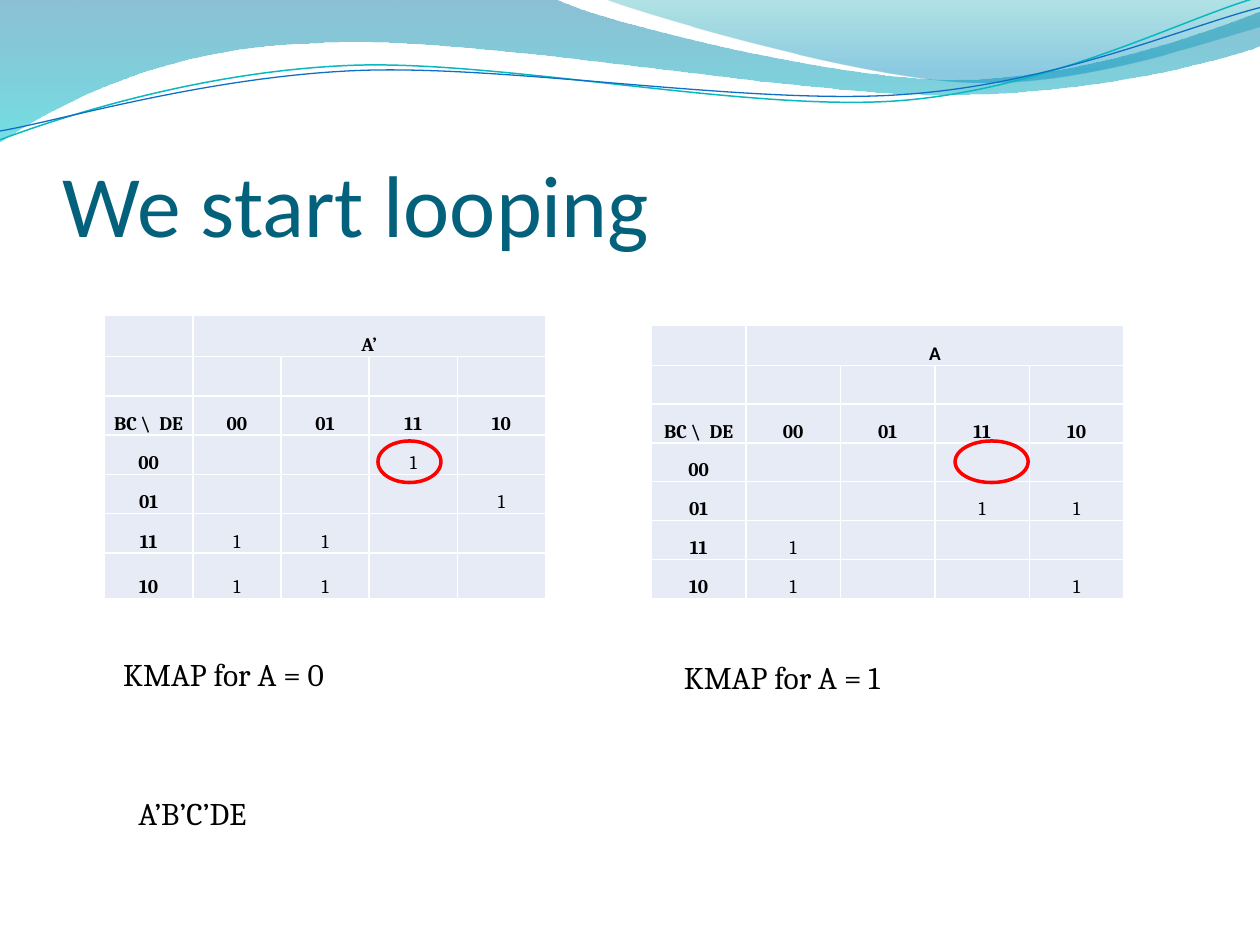
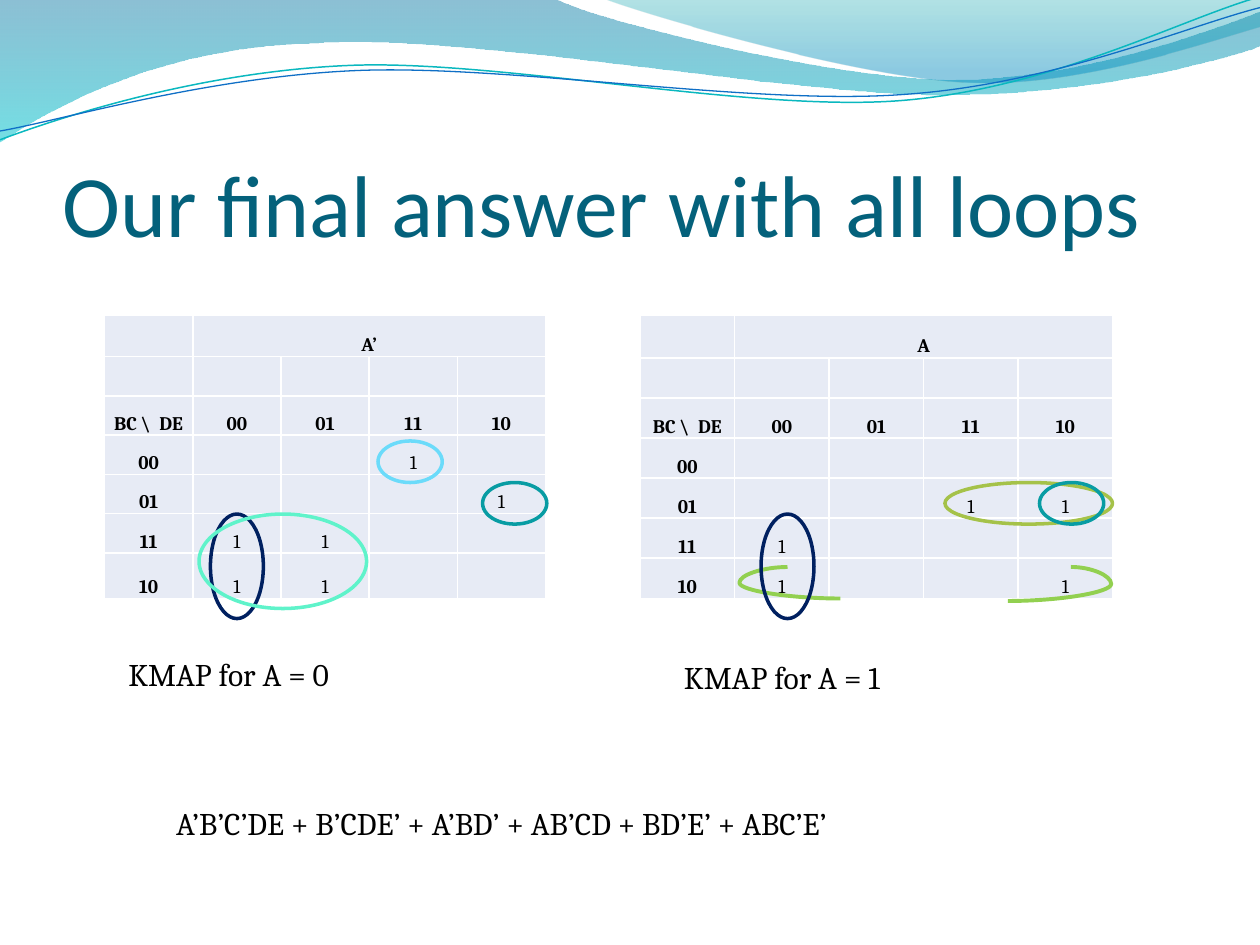
from math import cos, radians, sin

from lxml.etree import SubElement
from pptx import Presentation
from pptx.dml.color import RGBColor
from pptx.enum.shapes import MSO_CONNECTOR, MSO_SHAPE
from pptx.enum.text import MSO_ANCHOR, PP_ALIGN
from pptx.oxml.ns import qn
from pptx.util import Inches, Pt

TITLE_TEAL = RGBColor(0x04, 0x61, 0x7B)
BLACK = RGBColor(0, 0, 0)
CELL = RGBColor(0xE7, 0xEB, 0xF5)
RED = RGBColor(0xFF, 0, 0)
NAVY = RGBColor(0x00, 0x20, 0x60)
OLIVE = RGBColor(0xA5, 0xC2, 0x49)
MINT = RGBColor(0x5F, 0xF3, 0xCA)
TEAL = RGBColor(0x08, 0x9C, 0xA3)
SKY = RGBColor(0x6B, 0xDB, 0xFA)
GREEN = RGBColor(0x92, 0xD0, 0x50)
WAVE_CYAN = RGBColor(0x0A, 0xB8, 0xBF)
WAVE_BLUE = RGBColor(0x0F, 0x6F, 0xC6)

WAVE_TILT = -2.7
WAVE_BANDS = [
    ((-0.01, -0.01, 10.02, 1.14),
     [(0, 0), (4.4, -0.01), (4.76, 0.17, 6.64, 0.63, 7.58, 0.63),
      (8.53, 0.63, 9.58, 0.26, 10, 0.09), (10.01, 0.36),
      (9.83, 0.44, 8.7, 0.76, 7.46, 0.75), (6.22, 0.75, 3.82, 0.28, 2.57, 0.34),
      (1.29, 0.36, 0.46, 0.83, -0.01, 1.13), (0, 0)],
     [(0, RGBColor(0x00, 0x74, 0xA1), 45), (1, RGBColor(0x00, 0xC6, 0xCF), 55)]),
    ((4.79, -0.01, 5.21, 0.7),
     [(4.79, -0.01), (5.09, 0.11, 6.82, 0.62, 7.69, 0.65),
      (8.56, 0.69, 9.61, 0.32, 10, 0.21), (10, 0), (4.79, -0.01)],
     [(0, RGBColor(0x00, 0xA1, 0xA9), 30), (0.8, RGBColor(0x00, 0x8B, 0xBF), 45)]),
]
WAVE_LINES = [
    ((-0.02, 0.22, 10.02, 0.71),
     [(0, 1.11), (0.48, 0.93, 1.58, 0.57, 2.77, 0.52), (3.95, 0.47, 5.93, 0.89, 7.13, 0.8),
      (8.33, 0.71, 9.38, 0.15, 9.98, -0.02)], WAVE_CYAN, 0.85),
    ((-0.02, 0.3, 10.03, 0.58),
     [(0, 1.04), (0.47, 0.96, 1.64, 0.61, 2.83, 0.56), (4.03, 0.51, 5.97, 0.84, 7.17, 0.75),
      (8.36, 0.67, 9.41, 0.21, 10, 0.06)], WAVE_BLUE, 0.75),
]

GRAY_CODES = ["00", "01", "11", "10"]
ONES_WITHOUT_A = {("00", "11"), ("01", "10"), ("11", "00"), ("11", "01"),
                  ("10", "00"), ("10", "01")}
ONES_WITH_A = {("01", "11"), ("01", "10"), ("11", "00"), ("10", "00"), ("10", "10")}

LEFT_MAP = dict(heading="A’", ones=ONES_WITHOUT_A, box=(0.83, 2.5, 3.5, 2.25),
                first_row=0.33, last_row=0.36, heading_font="Cambria")
SLIDES = [
    dict(title="We start looping",
         maps=[LEFT_MAP,
               dict(heading="A", ones=ONES_WITH_A, box=(5.17, 2.58, 3.75, 2.17),
                    first_row=0.32, last_row=0.31, heading_font="Calibri")],
         captions=[("KMAP for A = 0", (0.88, 5.15, 3.5, 0.4)),
                   ("KMAP for A = 1", (5.33, 5.17, 3.5, 0.4)),
                   ("A’B’C’DE", (1, 6.25, 7.67, 0.42))],
         open_loops=[],
         loops=[((3, 3.5, 0.5, 0.33), RED), ((7.58, 3.5, 0.58, 0.33), RED)]),
    dict(title="Our final answer with all loops",
         maps=[LEFT_MAP,
               dict(heading="A", ones=ONES_WITH_A, box=(5.08, 2.5, 3.75, 2.25),
                    first_row=0.34, last_row=0.32, heading_font="Cambria")],
         captions=[("KMAP for A = 0", (0.92, 5.15, 3.5, 0.4)),
                   ("KMAP for A = 1", (5.33, 5.17, 3.5, 0.4)),
                   ("A’B’C’DE + B’CDE’ + A’BD’ + AB’CD + BD’E’ + ABC’E’",
                    (1.3, 6.33, 7.17, 0.4))],
         open_loops=[((6.25, 4.5, 6.67, 4.75), -0.91), ((8.5, 4.5, 8, 4.77), -0.64)],
         loops=[((1.67, 4.08, 0.42, 0.83), NAVY), ((6.04, 4.08, 0.42, 0.83), NAVY),
                ((7.5, 3.83, 1.33, 0.33), OLIVE), ((1.58, 4.08, 1.33, 0.75), MINT),
                ((3.83, 3.83, 0.51, 0.33), TEAL), ((8.25, 3.83, 0.51, 0.33), TEAL),
                ((3, 3.5, 0.51, 0.33), SKY)]),
]


def inches(values):
    return [Inches(value) for value in values]


def style_text(paragraph, size, font, color, bold=False):
    for run in paragraph.runs:
        run.font.size = Pt(size)
        run.font.name = font
        run.font.color.rgb = color
        run.font.bold = bold


def place_in_box(x, y, box, tilt):
    left, top, width, height = box
    dx, dy = x - left - width / 2, y - top - height / 2
    turn = radians(-tilt)
    return inches((width / 2 + dx * cos(turn) - dy * sin(turn),
                   height / 2 + dx * sin(turn) + dy * cos(turn)))


def add_outline(slide, box, outline, close=False, tilt=0):
    builder = slide.shapes.build_freeform(*inches(outline[0]))
    builder.add_line_segments([inches(segment[-2:]) for segment in outline[1:]], close=close)
    wave = builder.convert_to_shape()
    wave.shadow.inherit = False
    wave.left, wave.top, wave.width, wave.height = inches(box)
    wave.rotation = tilt
    geometry = next(wave._element.spPr.iter(qn("a:path")))
    geometry.set("w", str(wave.width))
    geometry.set("h", str(wave.height))
    for node, segment in zip(list(geometry), outline):
        if len(segment) == 6:
            curve = SubElement(geometry, qn("a:cubicBezTo"))
            geometry.replace(node, curve)
            node = curve
        for point in list(node):
            node.remove(point)
        for x, y in zip(segment[::2], segment[1::2]):
            px, py = place_in_box(x, y, box, tilt)
            SubElement(node, qn("a:pt"), x=str(px), y=str(py))
    return wave


def add_waves(slide):
    for box, outline, stops in WAVE_BANDS:
        band = add_outline(slide, box, outline, close=True)
        band.line.fill.background()
        band.fill.gradient()
        band.fill.gradient_angle = 270
        for stop, (position, color, _) in zip(band.fill.gradient_stops, stops):
            stop.position = position
            stop.color.rgb = color
        for tint, (_, _, opacity) in zip(band._element.spPr.iter(qn("a:srgbClr")), stops):
            SubElement(tint, qn("a:alpha"), val=str(opacity * 1000))
    for box, outline, color, width in WAVE_LINES:
        curve = add_outline(slide, box, outline, tilt=WAVE_TILT)
        curve.fill.background()
        curve.line.color.rgb = color
        curve.line.width = Pt(width)


def add_text(slide, text, box, size, font, color):
    frame = slide.shapes.add_textbox(*inches(box)).text_frame
    frame.word_wrap = True
    frame.text = text
    style_text(frame.paragraphs[0], size, font, color)
    return frame


def add_title(slide, text):
    frame = add_text(slide, text, (0.5, 0.77, 9, 1.25), 50, "Calibri", TITLE_TEAL)
    frame.margin_left = frame.margin_right = frame.margin_bottom = 0
    frame.vertical_anchor = MSO_ANCHOR.BOTTOM


def add_map(slide, heading, ones, box, first_row, last_row, heading_font):
    rows = [["", heading, "", "", ""], [""] * 5, ["BC \\  DE"] + GRAY_CODES]
    rows += [[bc] + ["1" if (bc, de) in ones else "" for de in GRAY_CODES]
             for bc in GRAY_CODES]
    table = slide.shapes.add_table(len(rows), 5, *inches(box)).table
    table.first_row = table.horz_banding = False
    middle_row = (box[3] - first_row - last_row) / (len(rows) - 2)
    heights = [first_row] + [middle_row] * (len(rows) - 2) + [last_row]
    for r, (texts, height) in enumerate(zip(rows, heights)):
        table.rows[r].height = Inches(height)
        for c, text in enumerate(texts):
            cell = table.cell(r, c)
            cell.fill.solid()
            cell.fill.fore_color.rgb = CELL
            cell.margin_left = cell.margin_right = cell.margin_top = Inches(0.01)
            cell.margin_bottom = 0
            cell.vertical_anchor = MSO_ANCHOR.BOTTOM
            paragraph = cell.text_frame.paragraphs[0]
            if not text:
                paragraph._p.get_or_add_endParaRPr().set("sz", "1100")
                continue
            paragraph.text = text
            paragraph.alignment = PP_ALIGN.CENTER
            style_text(paragraph, 11, heading_font if r == 0 else "Cambria", BLACK,
                       bold=r < 3 or c == 0)
    table.cell(0, 1).merge(table.cell(0, 4))


def add_loop(slide, box, color):
    loop = slide.shapes.add_shape(MSO_SHAPE.OVAL, *inches(box))
    loop.shadow.inherit = False
    loop.fill.background()
    loop.line.color.rgb = color
    loop.line.width = Pt(2)


def add_open_loop(slide, ends, bulge):
    loop = slide.shapes.add_connector(MSO_CONNECTOR.CURVE, *inches(ends))
    loop.line.color.rgb = GREEN
    loop.line.width = Pt(2.25)
    properties = loop._element.spPr
    SubElement(properties, qn("a:effectLst"))
    adjustments = properties.find(qn("a:prstGeom")).get_or_add_avLst()
    SubElement(adjustments, qn("a:gd"), name="adj1", fmla=f"val {round(bulge * 100000)}")


def main():
    deck = Presentation()
    deck.slide_width, deck.slide_height = Inches(10), Inches(7.5)
    for content in SLIDES:
        slide = deck.slides.add_slide(deck.slide_layouts[6])
        add_waves(slide)
        add_title(slide, content["title"])
        for karnaugh_map in content["maps"]:
            add_map(slide, **karnaugh_map)
        for text, box in content["captions"]:
            add_text(slide, text, box, 18, "Cambria", BLACK)
        for ends, bulge in content["open_loops"]:
            add_open_loop(slide, ends, bulge)
        for box, color in content["loops"]:
            add_loop(slide, box, color)
    deck.save("out.pptx")


if __name__ == "__main__":
    main()
